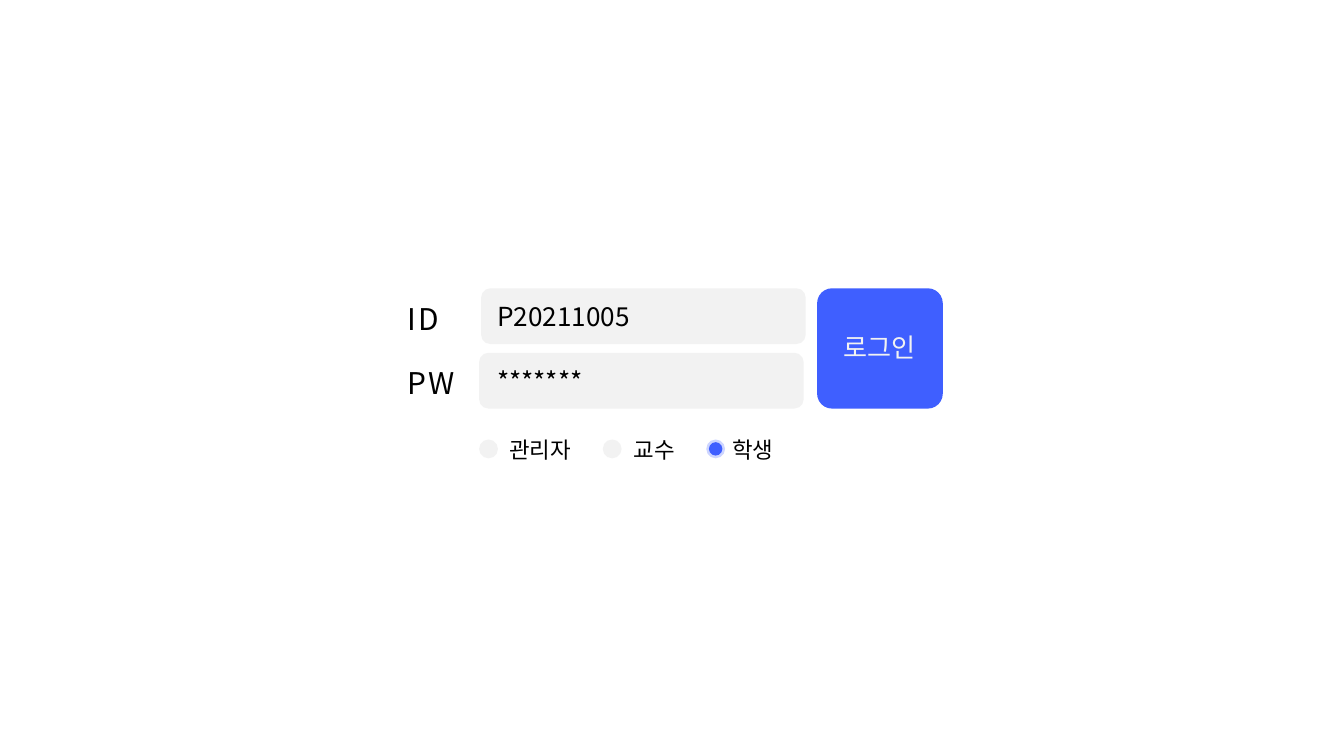
"""Builds a login form slide with two fields, a button and a role choice."""
import pptx
import pptx.util
import pptx.dml.color
import pptx.enum.shapes
import pptx.enum.text
import pptx.oxml
import pptx.oxml.ns

Inches = pptx.util.Inches
SHAPE = pptx.enum.shapes.MSO_SHAPE
THEME = {
    "font": "Noto Sans CJK KR",
    "ink": "000000", "field": "F2F2F2", "accent": "3F5FFF", "halo": "CDD5FF",
    "label": 32, "input": 28, "role": 24,
}

prs = pptx.Presentation()
prs.slide_width, prs.slide_height = Inches(20), Inches(11.25)
s = prs.slides.add_slide(prs.slide_layouts[6])


def add_box(kind, x, y, w, h, color):
    sp = s.shapes.add_shape(kind, Inches(x), Inches(y), Inches(w), Inches(h))
    sp.shadow.inherit = False
    sp.fill.solid()
    sp.fill.fore_color.rgb = pptx.dml.color.RGBColor.from_string(THEME[color])
    sp.line.fill.background()
    return sp


def add_text(text, x, y, w, h, size, color="ink", spacing=0):
    tf = s.shapes.add_textbox(Inches(x), Inches(y), Inches(w), Inches(h)).text_frame
    frame = {"word_wrap": True, "vertical_anchor": pptx.enum.text.MSO_ANCHOR.MIDDLE}
    for name, value in frame.items():
        setattr(tf, name, value)
    p = tf.paragraphs[0]
    p.alignment = pptx.enum.text.PP_ALIGN.JUSTIFY
    r = p.add_run()
    r.text = text
    for name, value in {"name": THEME["font"], "size": pptx.util.Pt(THEME[size])}.items():
        setattr(r.font, name, value)
    r.font.color.rgb = pptx.dml.color.RGBColor.from_string(THEME[color])
    rPr = r.font._element
    ea = pptx.oxml.parse_xml(f'<a:ea {pptx.oxml.ns.nsdecls("a")} typeface="{THEME["font"]}"/>')
    rPr.find(pptx.oxml.ns.qn("a:latin")).addnext(ea)
    if spacing:
        rPr.set("spc", str(spacing * 100))


top, pitch, field_h = 4.29, 0.96, 0.83
fields = [("ID", "P20211005", 7.16, 0.75), ("PW", "*******", 7.13, 1.08)]
for i, (label, value, field_x, label_w) in enumerate(fields):
    y = top + i * pitch
    add_box(SHAPE.ROUNDED_RECTANGLE, field_x, y, 4.83, field_h, "field")
    add_text(label, 5.96, y, label_w, 0.9, "label", spacing=3)
    add_text(value, 7.3, y, 4.17, field_h, "input")

button = add_box(SHAPE.ROUNDED_RECTANGLE, 12.16, top, 1.87, pitch + field_h, "accent")
button.adjustments[0] = 0.124
add_text("로그인", 12.45, 4.75, 1.38, field_h, "input", "field")

radio_y, radio_d, dot_inset = 6.54, 0.28, 0.04
roles = [
    ("관리자", 7.13, 7.48, 1.17, False),
    ("교수", 8.97, 9.33, 0.88, False),
    ("학생", 10.51, 10.8, 0.88, True),
]
for role, radio_x, text_x, text_w, chosen in roles:
    add_box(SHAPE.OVAL, radio_x, radio_y, radio_d, radio_d, "halo" if chosen else "field")
    if chosen:
        dot_d = radio_d - 2 * dot_inset
        add_box(SHAPE.OVAL, radio_x + dot_inset, radio_y + dot_inset, dot_d, dot_d, "accent")
    add_text(role, text_x, 6.44, text_w, 0.49, "role")

prs.save("out.pptx")
